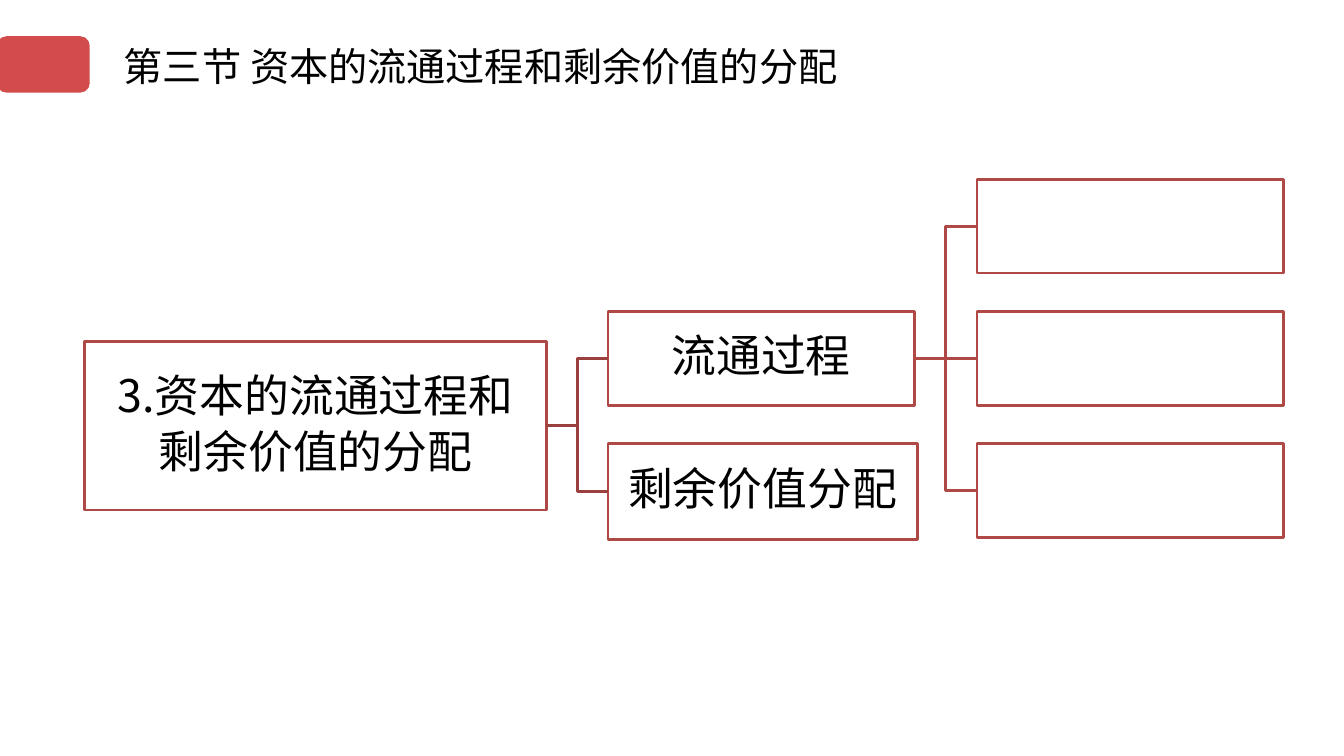
from lxml import etree
from pptx import Presentation
from pptx.dml.color import RGBColor
from pptx.enum import shapes, text
from pptx.oxml import ns
from pptx.util import Inches, Pt

FONT = "Noto Sans CJK SC"
BLACK = RGBColor(0x00, 0x00, 0x00)
WHITE = RGBColor(0xFF, 0xFF, 0xFF)
ACCENT = RGBColor(0xC0, 0x00, 0x00)
BRANCH = RGBColor(0xAE, 0x49, 0x46)
TRUNK = RGBColor(0x9A, 0x40, 0x3E)
LEAF_WIDTH, LEAF_HEIGHT = 3.04, 0.93
ROW_TOP, ROW_STEP = 1.78, 1.31


def write(frame, lines, size=32, align=text.PP_ALIGN.CENTER, spacing=0.9, after=5,
          anchor=text.MSO_ANCHOR.MIDDLE, inset=0.02):
    """Fill a text frame with one paragraph per line."""
    frame.word_wrap = True
    frame.vertical_anchor = anchor
    if inset is not None:
        frame.margin_left = frame.margin_right = Inches(inset)
        frame.margin_top = frame.margin_bottom = Inches(inset)
    for index, line in enumerate(lines):
        paragraph = frame.add_paragraph() if index else frame.paragraphs[0]
        paragraph.alignment = align
        paragraph.line_spacing = spacing
        paragraph.space_after = Pt(after)
        run = paragraph.add_run()
        run.text = line
        run.font.size = Pt(size)
        run.font.name = FONT
        run.font.color.rgb = BLACK
        east_asian = etree.SubElement(run.font._element, ns.qn("a:ea"))
        east_asian.set("typeface", FONT)


def add_tab(slide):
    """Add the translucent rounded tab at the left edge."""
    tab = slide.shapes.add_shape(shapes.MSO_SHAPE.ROUNDED_RECTANGLE, Inches(-0.03),
                                 Inches(0.36), Inches(0.92), Inches(0.56))
    tab.shadow.inherit = False
    tab.fill.solid()
    tab.fill.fore_color.rgb = ACCENT
    tab.line.fill.background()
    color = tab._element.spPr.find(ns.qn("a:solidFill"))[0]
    etree.SubElement(color, ns.qn("a:alpha")).set("val", "70000")


def add_title(slide, title):
    """Add the section title."""
    box = slide.shapes.add_textbox(Inches(1.13), Inches(0.37), Inches(7.4), Inches(0.71))
    write(box.text_frame, [title], size=28, align=text.PP_ALIGN.LEFT, spacing=1, after=0,
          anchor=text.MSO_ANCHOR.TOP, inset=None)


def add_node(slide, left, top, width=LEAF_WIDTH, height=LEAF_HEIGHT, lines=()):
    """Add one outlined box of the tree."""
    node = slide.shapes.add_shape(shapes.MSO_SHAPE.RECTANGLE, Inches(left), Inches(top),
                                  Inches(width), Inches(height))
    node.shadow.inherit = False
    node.fill.solid()
    node.fill.fore_color.rgb = WHITE
    node.line.color.rgb = BRANCH
    node.line.width = Pt(2)
    write(node.text_frame, lines)
    return node


def join(slide, parent, child, color):
    """Link the right side of a parent to the left side of a child."""
    level = parent.top + parent.height // 2 == child.top + child.height // 2
    kind = shapes.MSO_CONNECTOR.STRAIGHT if level else shapes.MSO_CONNECTOR.ELBOW
    link = slide.shapes.add_connector(kind, 0, 0, 0, 0)
    link.begin_connect(parent, 3)
    link.end_connect(child, 1)
    link.line.color.rgb = color
    link.line.width = Pt(2)
    etree.SubElement(link._element.spPr, ns.qn("a:effectLst"))


def main():
    """Build the slide and save it."""
    deck = Presentation()
    deck.slide_width, deck.slide_height = Inches(13.33), Inches(7.5)
    slide = deck.slides.add_slide(deck.slide_layouts[6])
    add_tab(slide)
    add_title(slide, "第三节 资本的流通过程和剩余价值的分配")

    rows = [ROW_TOP + ROW_STEP * row for row in range(3)]
    topic = add_node(slide, 0.84, 3.39, 4.58, 1.67, ["3.资本的流通过程和", "剩余价值的分配"])
    circulation = add_node(slide, 6.03, rows[1], lines=["流通过程"])
    distribution = add_node(slide, 6.03, rows[2], 3.07, 0.95, ["剩余价值分配"])
    details = [add_node(slide, 9.69, top) for top in rows]

    for child in (circulation, distribution):
        join(slide, topic, child, TRUNK)
    for detail in details:
        join(slide, circulation, detail, BRANCH)
    deck.save("out.pptx")


if __name__ == "__main__":
    main()
